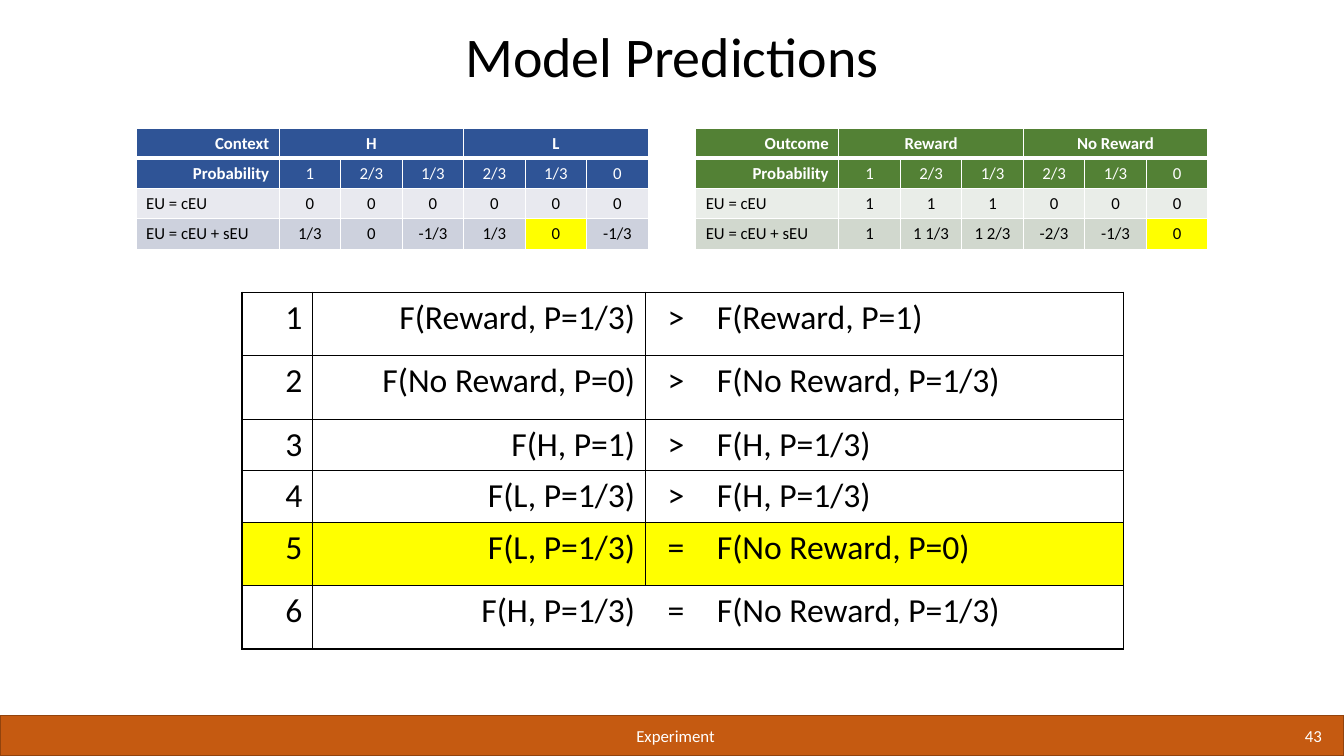
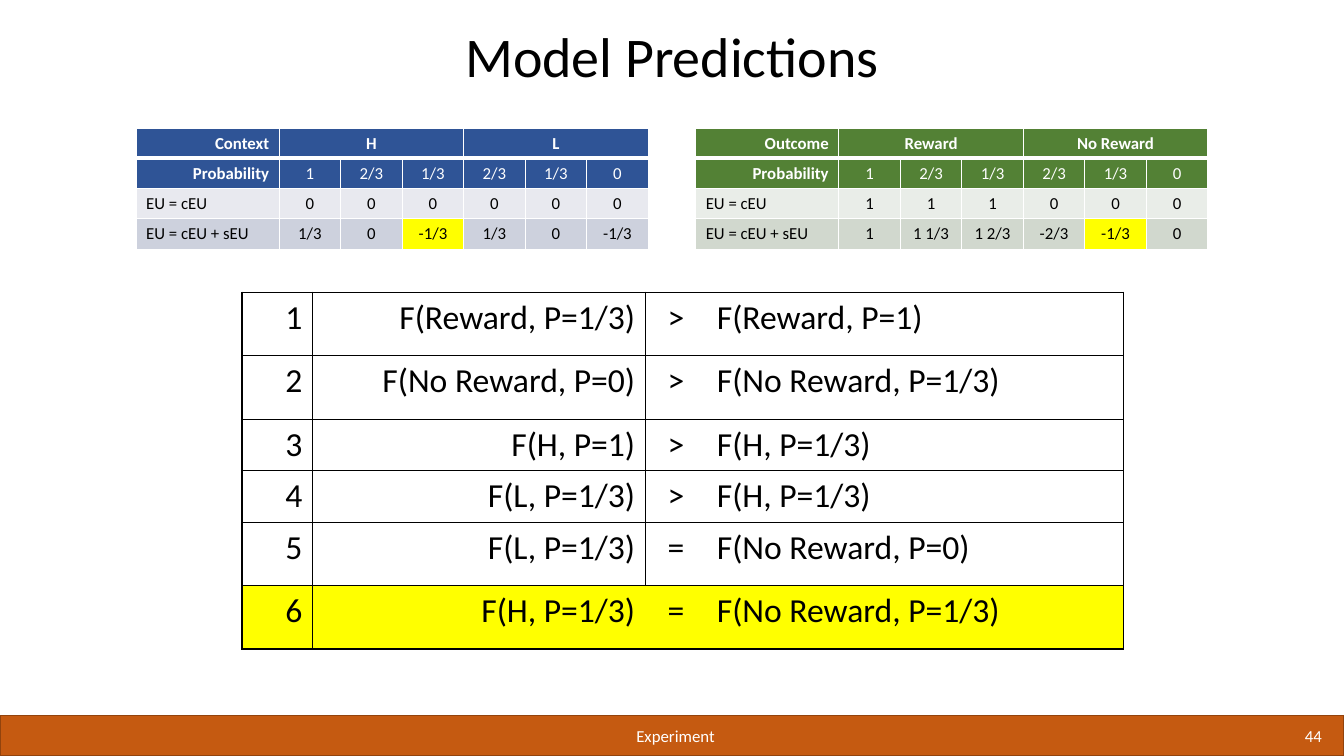
from pptx import Presentation
from pptx.dml.color import RGBColor
from pptx.enum.shapes import MSO_SHAPE
from pptx.enum.text import MSO_ANCHOR as ANCHOR, MSO_AUTO_SIZE as AUTO, PP_ALIGN as AL
from pptx.oxml.ns import qn
from pptx.util import Inches, Pt
from lxml import etree

# Shared look
FONT = "Calibri"
BLACK, WHITE, YELLOW = "000000", "FFFFFF", "FFFF00"
BAND, BAND_LINE = "C55A11", "92430D"
SLIDE_W, SLIDE_H, BAND_H = 13.33, 7.5, 0.4
TITLE_BOX = (0.66, 0.23, 12.01, 0.71)

# Model values: top and left of each table, header and row colours, cells
PROBABILITIES = ["Probability", "1", "2/3", "1/3", "2/3", "1/3", "0"]
CONTEXT = dict(
    at=(1.35, 1.27), head="2F5496", shades=("E8E9EF", "CDD1DD"),
    rows=[["Context", "H", "", "", "L", "", ""], PROBABILITIES,
          ["EU = cEU", "0", "0", "0", "0", "0", "0"],
          ["EU = cEU + sEU", "1/3", "0", "-1/3", "1/3", "0", "-1/3"]])
OUTCOME = dict(
    at=(6.9, 1.27), head="538135", shades=("E9EDE8", "D1D8CE"),
    rows=[["Outcome", "Reward", "", "", "No Reward", "", ""], PROBABILITIES,
          ["EU = cEU", "1", "1", "1", "0", "0", "0"],
          ["EU = cEU + sEU", "1", "1 1/3", "1 2/3", "-2/3", "-1/3", "0"]])
PREDICTIONS = [
    ("F(Reward, P=1/3)", ">", "F(Reward, P=1)"),
    ("F(No Reward, P=0)", ">", "F(No Reward, P=1/3)"),
    ("F(H, P=1)", ">", "F(H, P=1/3)"),
    ("F(L, P=1/3)", ">", "F(H, P=1/3)"),
    ("F(L, P=1/3)", "=", "F(No Reward, P=0)"),
    ("F(H, P=1/3)", "=", "F(No Reward, P=1/3)"),
]


def rgb(color):
    return RGBColor.from_string(color)


def inches(box):
    return [Inches(v) for v in box]


def write(tf, text, size, color, align=AL.LEFT, bold=False):
    p = tf.paragraphs[0]
    p.alignment = align
    r = p.add_run()
    r.text = text
    for name, value in dict(name=FONT, size=Pt(size), bold=bold).items():
        setattr(r.font, name, value)
    r.font.color.rgb = rgb(color)
    return p


def set_borders(cell, color, **widths):
    """Give the four sides L, R, T, B a width in points; 0 means no line."""
    tcPr = cell._tc.get_or_add_tcPr()
    for side in "LRTB":
        width = widths[side]
        ln = etree.SubElement(tcPr, qn("a:ln" + side), w=str(Pt(width)))
        if width:
            fill = etree.SubElement(ln, qn("a:solidFill"))
            etree.SubElement(fill, qn("a:srgbClr"), val=color)
        else:
            etree.SubElement(ln, qn("a:noFill"))


def add_grid(s, at, cols, rows):
    box = inches((*at, sum(cols), sum(rows)))
    table = s.shapes.add_table(len(rows), len(cols), *box).table
    table.first_row = table.horz_banding = False
    for col, width in zip(table.columns, cols):
        col.width = Inches(width)
    for row, height in zip(table.rows, rows):
        row.height = Inches(height)
    return table


def add_model_table(s, model, marked_col):
    """Values by probability; one cell of the last row is marked."""
    table = add_grid(s, model["at"], [1.42] + [0.61] * 6, [0.3] * 4)
    for first in (1, 4):
        table.cell(0, first).merge(table.cell(0, first + 2))
    fills = (model["head"],) * 2 + model["shades"]
    for i, values in enumerate(model["rows"]):
        is_head = i < 2
        for j, text in enumerate(values):
            cell = table.cell(i, j)
            set_borders(cell, WHITE, L=1, R=1, T=3 if i == 1 else 1, B=3 if i == 0 else 1)
            cell.fill.solid()
            marked = i == 3 and j == marked_col
            cell.fill.fore_color.rgb = rgb(YELLOW if marked else fills[i])
            if cell.is_spanned:
                continue
            label_align = AL.RIGHT if is_head else AL.LEFT
            write(cell.text_frame, text, 12, WHITE if is_head else BLACK,
                  AL.CENTER if j else label_align, i == 0 or (i == 1 and j == 0))


def add_predictions(s, at, marked_row):
    """Numbered comparisons; one row is marked."""
    heights = [0.63, 0.63, 0.51, 0.51, 0.63, 0.63]
    table = add_grid(s, at, [0.7, 3.3, 0.61, 4.13], heights)
    aligns = (AL.RIGHT, AL.RIGHT, AL.CENTER, AL.LEFT)
    for i, prediction in enumerate(PREDICTIONS):
        # Vertical lines from left to right; the last row has no middle one
        lines = (1, 1, int(i < len(PREDICTIONS) - 1), 0, 1)
        for j, text in enumerate((str(i + 1), *prediction)):
            cell = table.cell(i, j)
            set_borders(cell, BLACK, L=lines[j], R=lines[j + 1], T=1, B=1)
            if i + 1 == marked_row:
                cell.fill.solid()
                cell.fill.fore_color.rgb = rgb(YELLOW)
            else:
                cell.fill.background()
            write(cell.text_frame, text, 24, BLACK, aligns[j])


def add_title(s, text):
    sp = s.shapes.title
    sp.left, sp.top, sp.width, sp.height = inches(TITLE_BOX)
    tf = sp.text_frame
    for name, value in dict(vertical_anchor=ANCHOR.BOTTOM, word_wrap=True,
                            auto_size=AUTO.NONE).items():
        setattr(tf, name, value)
    write(tf, text, 40, BLACK, AL.CENTER).line_spacing = 0.9


def add_footer(s, section, number):
    top = SLIDE_H - BAND_H
    band = s.shapes.add_shape(MSO_SHAPE.RECTANGLE, *inches((0, top, SLIDE_W, BAND_H)))
    band.shadow.inherit = False
    band.fill.solid()
    band.fill.fore_color.rgb = rgb(BAND)
    band.line.color.rgb = rgb(BAND_LINE)
    band.line.width = Pt(1)
    for left, width, text, align in ((2.24, 8.92, section, AL.CENTER),
                                     (11.15, 2.06, str(number), AL.RIGHT)):
        tf = s.shapes.add_textbox(*inches((left, top, width, BAND_H))).text_frame
        tf.word_wrap = True
        tf.vertical_anchor = ANCHOR.MIDDLE
        write(tf, text, 12, WHITE, align)


def add_prediction_slide(prs, number, marked_row, context_col, outcome_col):
    s = prs.slides.add_slide(prs.slide_layouts[5])
    add_footer(s, "Experiment", number)
    add_title(s, "Model Predictions")
    add_predictions(s, (2.4, 2.9), marked_row)
    add_model_table(s, CONTEXT, context_col)
    add_model_table(s, OUTCOME, outcome_col)


def main():
    prs = Presentation()
    prs.slide_width, prs.slide_height = inches((SLIDE_W, SLIDE_H))
    add_prediction_slide(prs, 43, marked_row=5, context_col=5, outcome_col=6)
    add_prediction_slide(prs, 44, marked_row=6, context_col=3, outcome_col=5)
    prs.save("out.pptx")


if __name__ == "__main__":
    main()
